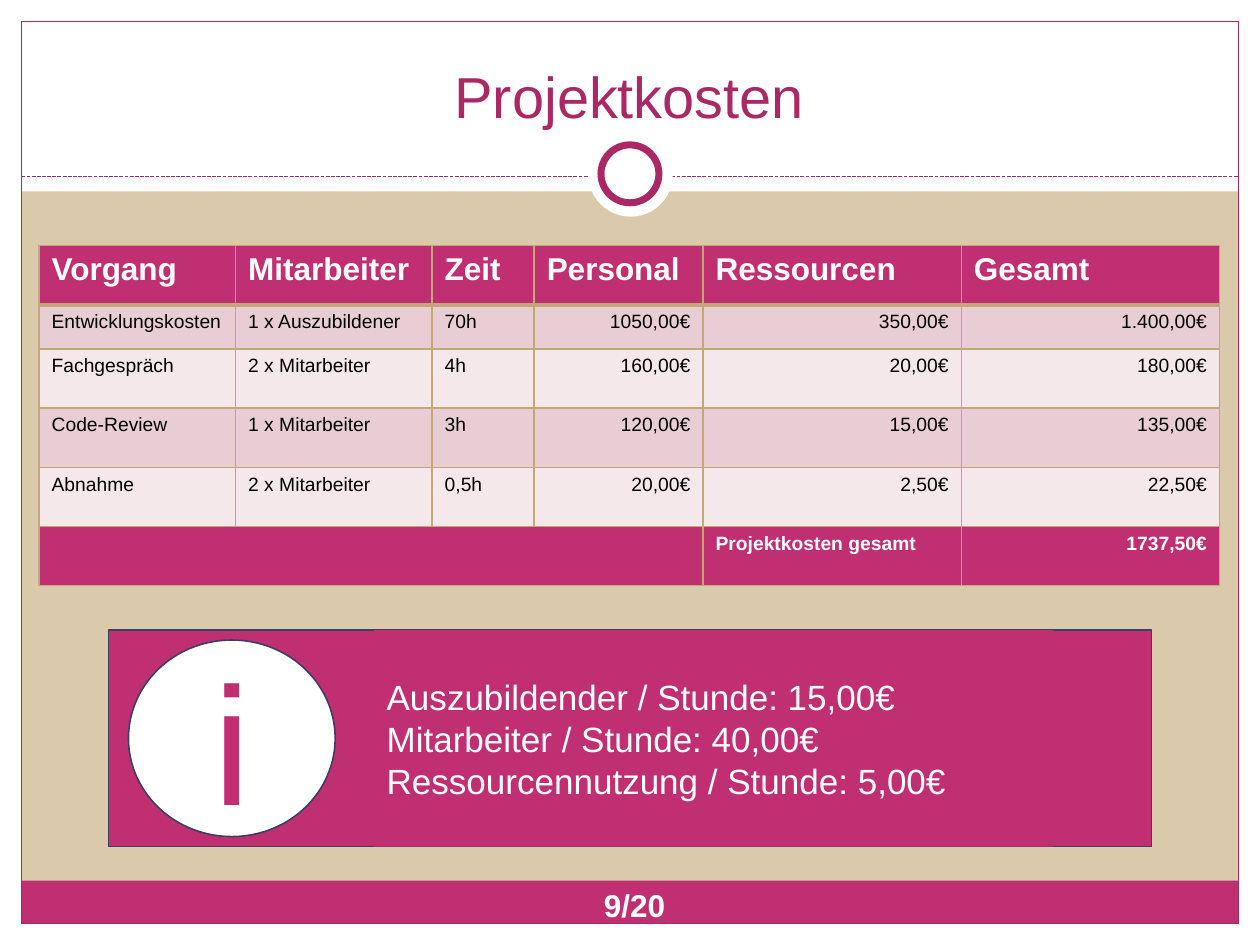
import dataclasses

import lxml.etree
import pptx
import pptx.dml.color
import pptx.enum.dml
import pptx.enum.shapes
import pptx.enum.text
import pptx.oxml.ns
import pptx.util

SCALE = 9144  # EMU per px, 100 px to the inch
KIND = pptx.enum.shapes.MSO_SHAPE
ALIGN = pptx.enum.text.PP_ALIGN
ANCHOR = pptx.enum.text.MSO_ANCHOR


@dataclasses.dataclass(frozen=True)
class Theme:
    font: str = "Arial"
    sand: str = "DACAAB"
    gold: str = "C2A874"
    pink: str = "C12F73"
    berry: str = "AA2965"
    navy: str = "3D3E66"
    rose: str = "E9CDD5"
    pale: str = "F4E8EB"
    white: str = "FFFFFF"
    black: str = "000000"
    title: int = 33
    icon: int = 96
    info: int = 20
    head: int = 18
    body: int = 11


T = Theme()
COLS = (156, 156, 81, 134, 205, 205)
ROWS = (47, 35, 47, 47, 47, 47)
HEAD = ("Vorgang", "Mitarbeiter", "Zeit", "Personal", "Ressourcen", "Gesamt")
COSTS = (
    ("Entwicklungskosten", "1 x Auszubildener", "70h", "1050,00€", "350,00€", "1.400,00€"),
    ("Fachgespräch", "2 x Mitarbeiter", "4h", "160,00€", "20,00€", "180,00€"),
    ("Code-Review", "1 x Mitarbeiter", "3h", "120,00€", "15,00€", "135,00€"),
    ("Abnahme", "2 x Mitarbeiter", "0,5h", "20,00€", "2,50€", "22,50€"),
)
TOTAL = ("", "", "", "", "Projektkosten gesamt", "1737,50€")
RATES = (
    "Auszubildender / Stunde: 15,00€",
    "Mitarbeiter / Stunde: 40,00€",
    "Ressourcennutzung / Stunde: 5,00€",
)


def px(*nums):
    return [pptx.util.Emu(num * SCALE) for num in nums]


def rgb(code):
    return pptx.dml.color.RGBColor.from_string(code)


def draw(shapes, kind, box, fill=None, line=None, width=0.75):
    shape = shapes.add_shape(kind, *px(*box))
    shape.shadow.inherit = False
    if fill:
        shape.fill.solid()
        shape.fill.fore_color.rgb = rgb(fill)
    else:
        shape.fill.background()
    if line:
        shape.line.color.rgb = rgb(line)
        shape.line.width = pptx.util.Pt(width)
    else:
        shape.line.fill.background()
    return shape


def write(frame, lines, size, color, bold=False, align=ALIGN.LEFT):
    for num, line in enumerate(lines):
        para = frame.add_paragraph() if num else frame.paragraphs[0]
        para.alignment = align
        run = para.add_run()
        run.text = line
        run.font.name = T.font
        run.font.size = pptx.util.Pt(size)
        run.font.bold = bold
        run.font.color.rgb = rgb(color)


def label(shapes, box, text, size, color, bold=False, anchor=ANCHOR.TOP, wrap=True):
    frame = shapes.add_textbox(*px(*box)).text_frame
    frame.word_wrap = wrap
    frame.vertical_anchor = anchor
    write(frame, [text], size, color, bold, ALIGN.CENTER)


def backdrop(slide, box):
    """Sand page with white margins, footer band, frame and ringed divider."""
    x, y, w, h = box
    edge = 17
    slide.background.fill.solid()
    slide.background.fill.fore_color.rgb = rgb(T.sand)
    shapes = slide.shapes
    strips = (
        (x, y + h - edge, w, edge),
        (x, y, w, 152),
        (x, y, edge, h),
        (x + w - edge, y, edge, h),
    )
    for strip in strips:
        draw(shapes, KIND.RECTANGLE, strip, T.white)
    inner = w - 2 * edge
    draw(shapes, KIND.RECTANGLE, (x + edge, y + h - 51, inner, 34), T.pink)
    draw(shapes, KIND.RECTANGLE, (x + edge, y + edge, inner, h - 2 * edge), line=T.berry)

    rule = shapes.add_connector(
        pptx.enum.shapes.MSO_CONNECTOR.STRAIGHT,
        *px(x + edge, y + 140, x + w - edge, y + 140),
    )
    rule.line.color.rgb = rgb(T.berry)
    rule.line.width = pptx.util.Pt(0.75)
    rule.line.dash_style = pptx.enum.dml.MSO_LINE.SQUARE_DOT
    props = rule._element.spPr
    lxml.etree.SubElement(props, pptx.oxml.ns.qn("a:effectLst"))

    draw(shapes, KIND.OVAL, (x + 467, y + 105, 67, 67), T.white)
    draw(shapes, KIND.OVAL, (x + 477, y + 115, 46, 46), T.white, T.berry, 4)


def border(cell, top, base):
    """Gold cell borders; top and base are widths in points."""
    props = cell._tc.get_or_add_tcPr()
    for side, width in (("L", 1), ("R", 1), ("T", top), ("B", base)):
        line = lxml.etree.SubElement(
            props, pptx.oxml.ns.qn("a:ln" + side), w=str(pptx.util.Pt(width))
        )
        fill = lxml.etree.SubElement(line, pptx.oxml.ns.qn("a:solidFill"))
        lxml.etree.SubElement(fill, pptx.oxml.ns.qn("a:srgbClr"), val=T.gold)


def costs(slide, box):
    rows = (HEAD, *COSTS, TOTAL)
    last = len(rows) - 1
    table = slide.shapes.add_table(len(rows), len(COLS), *px(*box)).table
    for col, width in zip(table.columns, px(*COLS)):
        col.width = width
    for row, height in zip(table.rows, px(*ROWS)):
        row.height = height
    for r, texts in enumerate(rows):
        strong = r in (0, last)
        fill = T.pink if strong else (T.pale, T.rose)[r % 2]
        for c, text in enumerate(texts):
            cell = table.cell(r, c)
            border(cell, 3 if r == 1 else 1, 3 if r == 0 else 1)
            cell.fill.solid()
            cell.fill.fore_color.rgb = rgb(fill)
            if not text:
                continue
            right = r > 0 and c > 2 and text != TOTAL[4]
            write(
                cell.text_frame,
                [text],
                T.body if r else T.head,
                T.white if strong else T.black,
                strong,
                ALIGN.RIGHT if right else ALIGN.LEFT,
            )
    table.cell(last, 0).merge(table.cell(last, 3))


def info(slide, box):
    """Panel with a round info icon and the hourly rates."""
    x, y, w, h = box
    shapes = slide.shapes.add_group_shape().shapes
    draw(shapes, KIND.RECTANGLE, box, T.pink, T.navy, 0.9)
    icon = draw(shapes, KIND.OVAL, (x + 16, y + 8, 164, h - 16), T.white, T.navy, 0.9)
    icon.text_frame.vertical_anchor = ANCHOR.MIDDLE
    write(icon.text_frame, ["i"], T.icon, T.pink, align=ALIGN.CENTER)
    rates = draw(shapes, KIND.RECTANGLE, (x + 211, y, 539, h), T.pink)
    rates.text_frame.word_wrap = True
    rates.text_frame.vertical_anchor = ANCHOR.MIDDLE
    write(rates.text_frame, RATES, T.info, T.white)


def main():
    deck = pptx.Presentation()
    deck.slide_width, deck.slide_height = px(1000, 750)
    slide = deck.slides.add_slide(deck.slide_layouts[6])
    backdrop(slide, (0, 0, 1000, 750))
    label(slide.shapes, (33, 25, 933, 83), "Projektkosten", T.title, T.berry,
          anchor=ANCHOR.BOTTOM)
    costs(slide, (31, 195, sum(COLS), sum(ROWS)))
    info(slide, (86, 500, 828, 172))
    label(slide.shapes, (469, 698, 69, 40), "9/20", T.head, T.white, True, wrap=False)
    deck.save("out.pptx")


if __name__ == "__main__":
    main()
